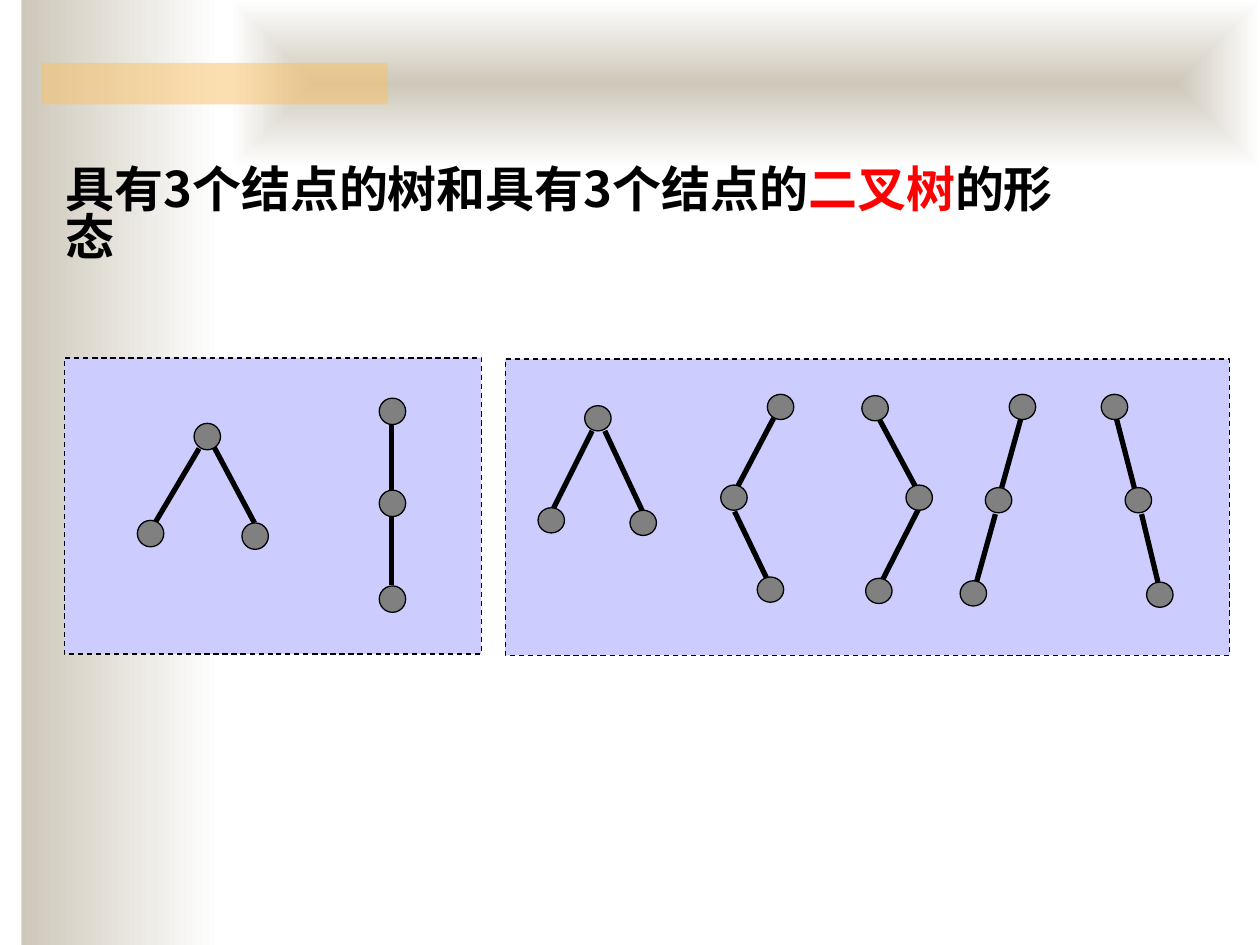
from lxml.etree import SubElement
from pptx import Presentation
from pptx.dml.color import RGBColor
from pptx.enum.dml import MSO_LINE
from pptx.enum.shapes import MSO_CONNECTOR, MSO_SHAPE
from pptx.enum.text import MSO_ANCHOR, PP_ALIGN
from pptx.oxml import parse_xml
from pptx.oxml.ns import nsdecls, qn
from pptx.util import Inches, Pt

FONT = "Noto Sans CJK SC"


def color(value):
    return RGBColor.from_string(value)


def add_box(shapes, kind, position, fill=None, line=None):
    shape = shapes.add_shape(kind, *[Inches(value) for value in position])
    shape.shadow.inherit = False
    if fill:
        shape.fill.solid()
        shape.fill.fore_color.rgb = color(fill)
    if line:
        shape.line.color.rgb = color(line)
        shape.line.width = Pt(0.75)
    else:
        shape.line.fill.background()
    return shape


presentation = Presentation()
presentation.slide_width = Inches(10)
presentation.slide_height = Inches(7.5)
slide = presentation.slides.add_slide(presentation.slide_layouts[5])

# Background gradients: left column and top band
column = add_box(slide.shapes, MSO_SHAPE.RECTANGLE, (0.17, 0, 1.58, 7.5))
band = add_box(slide.shapes, MSO_SHAPE.RECTANGLE, (1.83, 0, 8.17, 1.33))
for shape in (column, band):
    shape.fill.gradient()
    shape.fill.gradient_angle = 0
    for stop, value, place in zip(shape.fill.gradient_stops, ("CEC8BA", "FFFFFF"), (0, 1)):
        stop.color.rgb = color(value)
        stop.position = place
gradient = band._element.spPr.find(qn("a:gradFill"))
gradient.replace(gradient.find(qn("a:lin")), parse_xml(
    f'<a:path {nsdecls("a")} path="shape">'
    '<a:fillToRect l="50000" t="50000" r="50000" b="50000"/></a:path>'))

# Half-transparent orange bar
bar = add_box(slide.shapes, MSO_SHAPE.RECTANGLE, (0.33, 0.5, 2.75, 0.33), "FAC164")
bar_color = bar._element.spPr.find(qn("a:solidFill"))[0]
SubElement(bar_color, qn("a:alpha"), val="50000")

# Title, brought in front of the background
title = slide.shapes.title
slide.shapes._spTree.append(title._element)
title.left, title.top, title.width, title.height = [
    Inches(value) for value in (0.42, 1.44, 8.41, 0.57)]
frame = title.text_frame
frame.word_wrap = True
frame.vertical_anchor = MSO_ANCHOR.MIDDLE
paragraph = frame.paragraphs[0]
paragraph.alignment = PP_ALIGN.LEFT
paragraph.line_spacing = 0.82
title_runs = [
    ("具有3个结点的树和具有3个结点的", "000000"),
    ("二叉树", "FF0000"),
    ("的形态", "000000"),
]
for text, text_color in title_runs:
    run = paragraph.add_run()
    run.text = text
    for name, value in {"size": Pt(28), "bold": True, "name": FONT}.items():
        setattr(run.font, name, value)
    run.font.color.rgb = color(text_color)
    SubElement(run._r.get_or_add_rPr(), qn("a:ea"), typeface=FONT)

# Dashed panels: trees on the left, binary trees on the right
for position in [(0.51, 2.84, 3.31, 2.35), (4.01, 2.85, 5.75, 2.35)]:
    panel = add_box(slide.shapes, MSO_SHAPE.RECTANGLE, position, "CCCCFF", "000000")
    panel.line.dash_style = MSO_LINE.DASH

# Each tree: node height, top left corners of its nodes, ends of its edges
trees = [
    (0.21, [(1.54, 3.36), (1.09, 4.13), (1.92, 4.15)],
     [(1.58, 3.56, 1.23, 4.15), (1.7, 3.55, 2.02, 4.15)]),
    (0.21, [(3.01, 3.16), (3.01, 3.89), (3.01, 4.65)],
     [(3.11, 3.37, 3.11, 3.91), (3.11, 4.09, 3.11, 4.64)]),
    (0.2, [(4.64, 3.22), (4.27, 4.03), (5, 4.05)],
     [(4.7, 3.42, 4.38, 4.06), (4.8, 3.42, 5.1, 4.06)]),
    (0.2, [(6.09, 3.13), (5.72, 3.85), (6.01, 4.58)],
     [(6.14, 3.32, 5.85, 3.87), (5.83, 4.06, 6.09, 4.6)]),
    (0.2, [(6.84, 3.14), (7.19, 3.85), (6.87, 4.59)],
     [(6.98, 3.33, 7.27, 3.87), (7.29, 4.04, 6.99, 4.63)]),
    (0.2, [(8.01, 3.13), (7.82, 3.87), (7.62, 4.61)],
     [(8.1, 3.33, 7.95, 3.87), (7.9, 4.08, 7.75, 4.62)]),
    (0.2, [(8.74, 3.13), (8.93, 3.87), (9.1, 4.62)],
     [(8.86, 3.32, 9.01, 3.9), (9.06, 4.08, 9.19, 4.62)]),
]
for node_height, nodes, edges in trees:
    tree = slide.shapes.add_group_shape()
    for ends in edges:
        edge = tree.shapes.add_connector(
            MSO_CONNECTOR.STRAIGHT, *[Inches(value) for value in ends])
        edge.line.color.rgb = color("000000")
        edge.line.width = Pt(3)
        SubElement(edge._element.spPr, qn("a:effectLst"))
    for left, top in nodes:
        add_box(tree.shapes, MSO_SHAPE.OVAL, (left, top, 0.21, node_height),
                "808080", "000000")

presentation.save("out.pptx")
